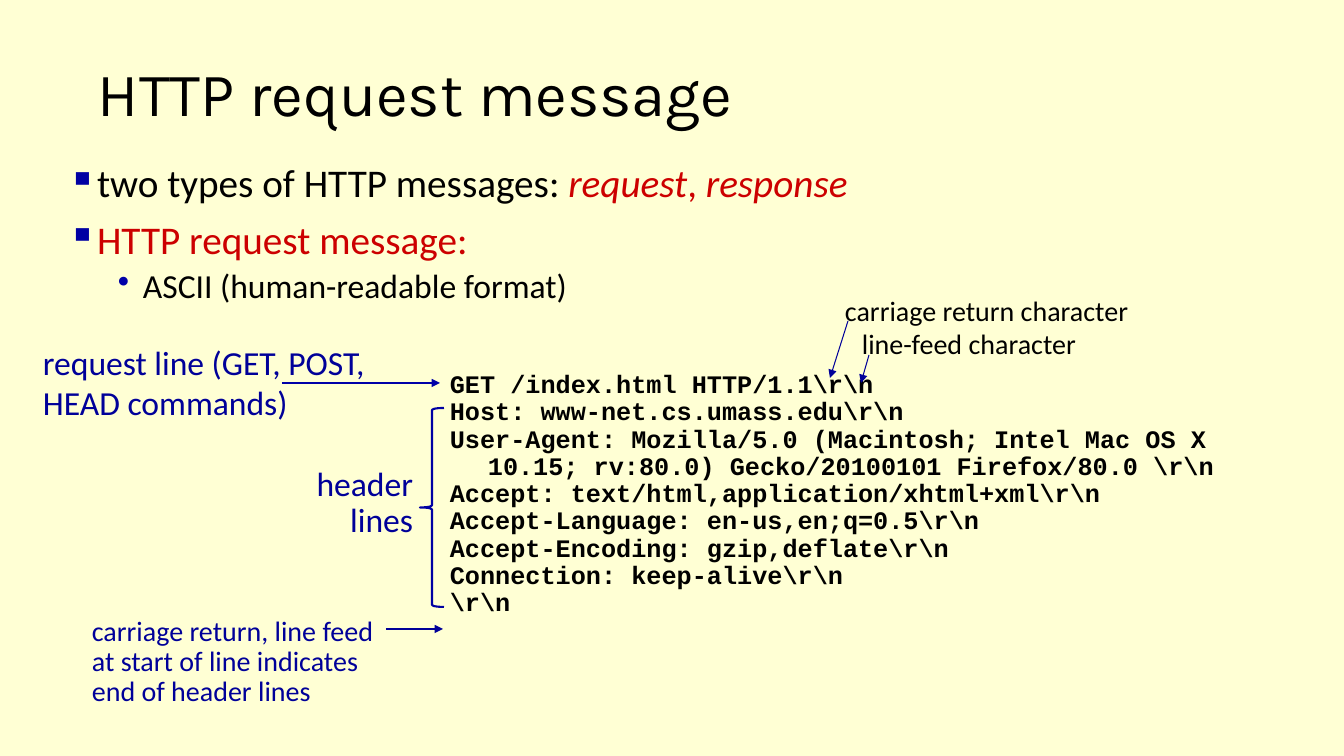
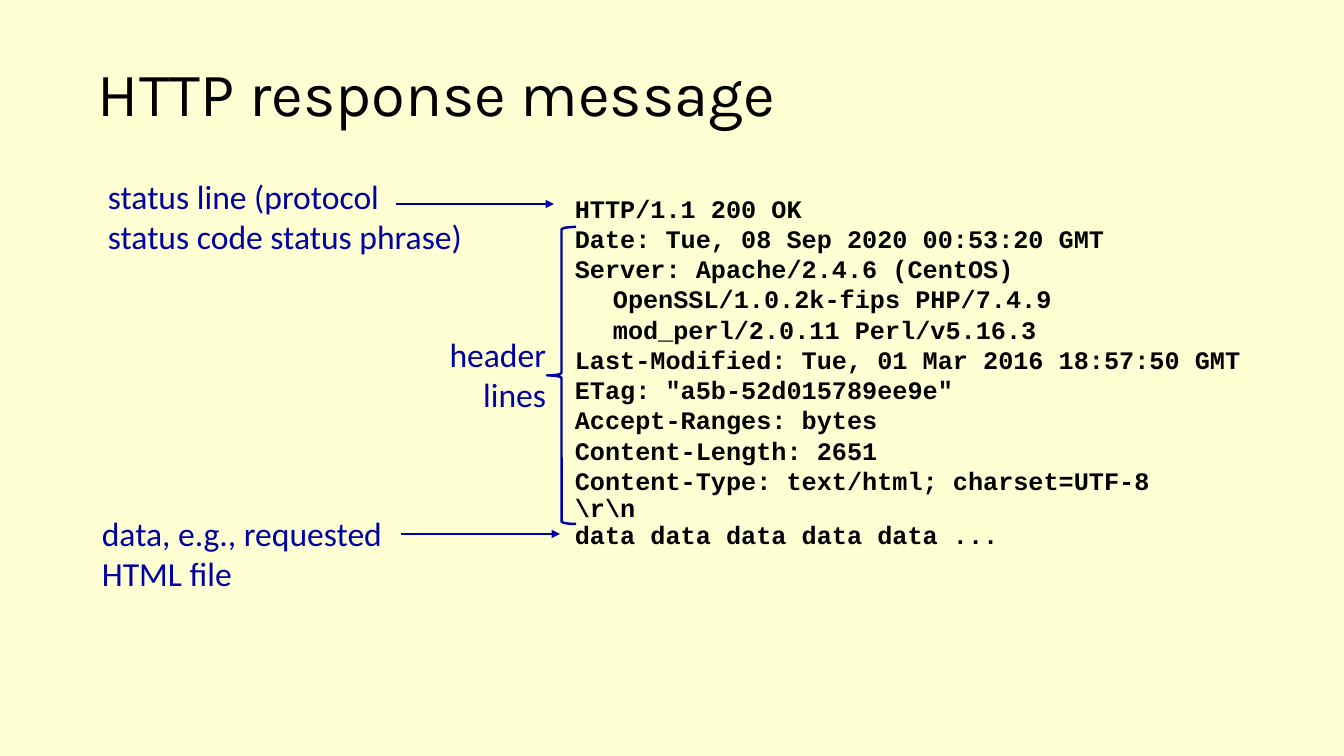
"""Build two slides on the HTTP request and response message formats."""
from lxml.etree import SubElement
from pptx import Presentation
from pptx.dml.color import RGBColor
from pptx.enum.shapes import MSO_CONNECTOR, MSO_SHAPE
from pptx.enum.text import MSO_ANCHOR, PP_ALIGN
from pptx.oxml.ns import qn
from pptx.util import Emu, Pt

PX = 914400 / 100.8
WIDTH, HEIGHT = 1344, 756
PAPER, BLACK, RED = "FFFFD4", "000000", "CC0000"
NAVY, BLUE, BRIGHT_BLUE = "000099", "0000A3", "0000A8"

TITLE = dict(font="Karla", size=44, spacing=0.9, anchor=MSO_ANCHOR.MIDDLE)
TITLE_FRAME = (88, 47, 1159, 99)
CODE = dict(font="Courier New", size=18, bold=True, margin=38, indent=-38)
BULLET = dict(size=28, spacing=0.9, before=10, margin=26, indent=-26,
              bullet="▪", bullet_color=BLUE)
SUB_BULLET = dict(size=24, before=5, margin=75, indent=-25,
                  bullet="•", bullet_color=BRIGHT_BLUE)
EMPHASIS = dict(color=RED, italic=True)
TIGHT = dict(spacing=0.9)
RIGHT = dict(align=PP_ALIGN.RIGHT)

SLIDES = [
    dict(
        title="HTTP request message",
        texts=[
            ((58, 159, 1285, 157), [
                ([("two types of HTTP messages: ", {}), ("request", EMPHASIS),
                  (", ", dict(color=RED)), ("response", EMPHASIS)], dict(before=0)),
                ([("HTTP request message:", dict(color=RED))], {}),
                ([("ASCII (human-readable format)", {})], SUB_BULLET),
            ], BULLET),
            ((440, 367, 873, 258), [
                r"GET /index.html HTTP/1.1\r\n",
                r"Host: www-net.cs.umass.edu\r\n",
                r"User-Agent: Mozilla/5.0 (Macintosh; Intel Mac OS X 10.15; "
                r"rv:80.0) Gecko/20100101 Firefox/80.0 \r\n",
                r"Accept: text/html,application/xhtml+xml\r\n",
                r"Accept-Language: en-us,en;q=0.5\r\n",
                r"Accept-Encoding: gzip,deflate\r\n",
                r"Connection: keep-alive\r\n",
                r"\r\n",
            ], CODE | TIGHT),
            ((835, 289, 326, 44), ["carriage return character"], dict(size=20)),
            ((852, 322, 257, 44), ["line-feed character"], dict(size=20)),
            ((33, 337, 349, 92), ["request line (GET, POST,", "HEAD commands)"],
             dict(color=NAVY)),
            ((82, 612, 305, 102),
             ["carriage return, line feed at start of line indicates "
              "end of header lines"], dict(size=20, color=NAVY) | TIGHT),
            ((305, 462, 118, 84), ["header", "lines"],
             dict(color=NAVY) | RIGHT | TIGHT),
        ],
        arrows=[
            ((848, 321), (830, 378), NAVY, 0.75),
            ((869, 355), (861, 383), NAVY, 0.75),
            ((282, 383), (440, 383), BRIGHT_BLUE, 1.5),
            ((386, 629), (443, 629), NAVY, 1.5),
        ],
        brace=((420, 408, 24, 199), 1.5),
    ),
    dict(
        title="HTTP response message",
        texts=[
            ((565, 188, 696, 385), [
                "HTTP/1.1 200 OK",
                "Date: Tue, 08 Sep 2020 00:53:20 GMT",
                "Server: Apache/2.4.6 (CentOS) OpenSSL/1.0.2k-fips PHP/7.4.9 "
                "mod_perl/2.0.11 Perl/v5.16.3",
                "Last-Modified: Tue, 01 Mar 2016 18:57:50 GMT",
                'ETag: "a5b-52d015789ee9e"',
                "Accept-Ranges: bytes",
                "Content-Length: 2651",
                "Content-Type: text/html; charset=UTF-8",
                ([(r"\r\n", {})], TIGHT),
                ([("data data data data data ...", {})], TIGHT),
            ], CODE),
            ((98, 171, 448, 92),
             ["status line (protocol", "status code status phrase)"],
             dict(color=BLUE)),
            ((92, 508, 397, 92), ["data, e.g., requested", "HTML file"],
             dict(color=BLUE)),
            ((438, 329, 118, 92), ["header", "lines"], dict(color=BLUE) | RIGHT),
        ],
        arrows=[
            ((396, 204), (554, 204), BRIGHT_BLUE, 1.5),
            ((401, 534), (560, 534), BRIGHT_BLUE, 1.5),
        ],
        brace=((547, 227, 29, 297), 1.75),
    ),
]


def px(*lengths):
    return [Emu(round(length * PX)) for length in lengths]


def paint(color_format, value):
    color_format.rgb = RGBColor.from_string(value)


def format_paragraph(para, align=PP_ALIGN.LEFT, spacing=1.0, before=0, margin=0,
                     indent=0, bullet=None, bullet_color=BLACK, **_):
    para.alignment = align
    para.line_spacing = spacing
    para.space_before = Pt(before)
    properties = para._p.get_or_add_pPr()
    left, first = px(margin, indent)
    properties.set("marL", str(left))
    properties.set("indent", str(first))
    if bullet:
        color = SubElement(properties, qn("a:buClr"))
        SubElement(color, qn("a:srgbClr"), val=bullet_color)
        SubElement(properties, qn("a:buChar"), char=bullet)


def add_span(para, text, font="Calibri", size=24, color=BLACK, bold=False,
             italic=False, **_):
    span = para.add_run()
    span.text = text
    span.font.name = font
    span.font.size = Pt(size)
    span.font.bold = bold
    span.font.italic = italic
    paint(span.font.color, color)


def add_text(page, frame, paragraphs, anchor=MSO_ANCHOR.TOP, **style):
    text_frame = page.shapes.add_textbox(*px(*frame)).text_frame
    text_frame.word_wrap = True
    text_frame.vertical_anchor = anchor
    for index, content in enumerate(paragraphs):
        spans, changes = ([(content, {})], {}) if isinstance(content, str) else content
        para = text_frame.add_paragraph() if index else text_frame.paragraphs[0]
        para_style = style | changes
        format_paragraph(para, **para_style)
        for text, emphasis in spans:
            add_span(para, text, **(para_style | emphasis))


def add_arrow(page, start, end, color, weight):
    arrow = page.shapes.add_connector(MSO_CONNECTOR.STRAIGHT, *px(*start, *end))
    paint(arrow.line.color, color)
    arrow.line.width = Pt(weight)
    SubElement(arrow.line._get_or_add_ln(), qn("a:tailEnd"), type="triangle")
    SubElement(arrow._element.spPr, qn("a:effectLst"))


def add_brace(page, frame, weight):
    brace = page.shapes.add_shape(MSO_SHAPE.LEFT_BRACE, *px(*frame))
    brace.shadow.inherit = False
    brace.fill.background()
    paint(brace.line.color, BLUE)
    brace.line.width = Pt(weight)


def add_page(deck, content):
    page = deck.slides.add_slide(deck.slide_layouts[6])
    page.background.fill.solid()
    paint(page.background.fill.fore_color, PAPER)
    add_text(page, TITLE_FRAME, [content["title"]], **TITLE)
    for frame, paragraphs, style in content["texts"]:
        add_text(page, frame, paragraphs, **style)
    for arrow in content["arrows"]:
        add_arrow(page, *arrow)
    add_brace(page, *content["brace"])


def main():
    deck = Presentation()
    deck.slide_width, deck.slide_height = px(WIDTH, HEIGHT)
    for content in SLIDES:
        add_page(deck, content)
    deck.save("out.pptx")


if __name__ == "__main__":
    main()
